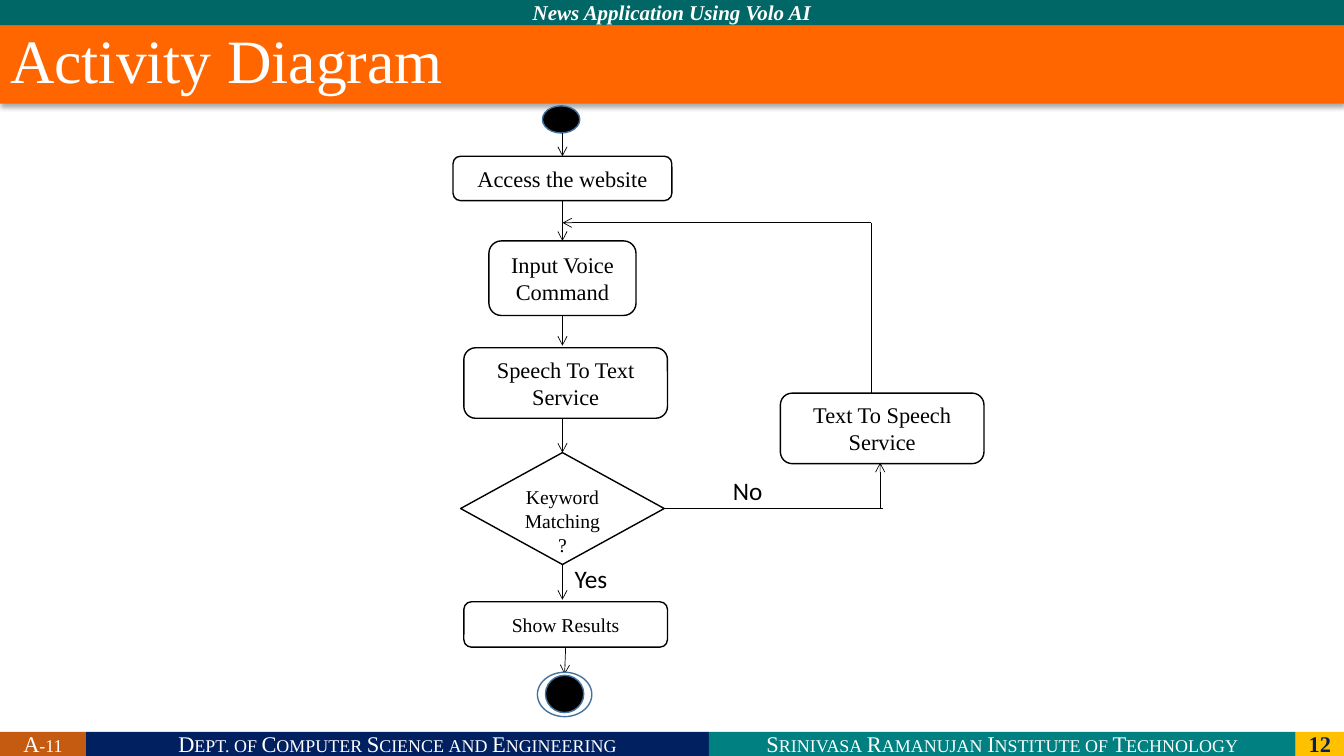
"""Build the activity diagram slide of a voice-driven news application."""
from dataclasses import dataclass

from lxml.etree import SubElement
from pptx import Presentation
from pptx.dml.color import RGBColor
from pptx.enum.shapes import MSO_CONNECTOR, MSO_SHAPE
from pptx.enum.text import MSO_ANCHOR, MSO_AUTO_SIZE, PP_ALIGN
from pptx.oxml.ns import qn
from pptx.util import Inches, Pt

WIDTH, HEIGHT = Inches(13.33), Inches(7.5)
TOP, BOTTOM, RIGHT = 0, 2, 3


@dataclass(frozen=True)
class Theme:
    """Colours, fonts and type sizes of the slide."""
    black: str = "000000"
    white: str = "FFFFFF"
    navy: str = "002060"
    teal: str = "008080"
    header: str = "006666"
    gold: str = "FFC000"
    rust: str = "C55A11"
    orange: str = "FF6600"
    rim: str = "43739E"
    serif: str = "Times New Roman"
    sans: str = "Calibri"
    title: int = 44
    label: int = 18
    body: int = 16
    running: int = 15
    small: int = 14


THEME = Theme()


def x(share):
    """Turn a percentage of the slide width into a length."""
    return round(WIDTH * share / 100)


def y(share):
    """Turn a percentage of the slide height into a length."""
    return round(HEIGHT * share / 100)


def write(sp, text, size=THEME.body, font=THEME.serif, color=THEME.black, bold=False,
          italic=False, caps=False, align=PP_ALIGN.CENTER, anchor=MSO_ANCHOR.MIDDLE):
    """Put one formatted paragraph into a shape and return its paragraph."""
    tf = sp.text_frame
    tf.word_wrap = True
    tf.vertical_anchor = anchor
    p = tf.paragraphs[0]
    p.alignment = align
    r = p.add_run()
    r.text = text
    r.font.size, r.font.name = Pt(size), font
    r.font.bold, r.font.italic = bold, italic
    r.font.color.rgb = RGBColor.from_string(color)
    if caps:
        r.font._element.set("cap", "small")
    return p


def paint(sp, fill, line=None):
    """Set the fill and outline of a shape."""
    sp.fill.solid()
    sp.fill.fore_color.rgb = RGBColor.from_string(fill)
    if line:
        sp.line.color.rgb = RGBColor.from_string(line)
        sp.line.width = Pt(1)
    else:
        sp.line.fill.background()


def bar(slide, left, top, width, height, fill, text, **style):
    """Add a running header or footer bar."""
    sp = slide.shapes.add_shape(MSO_SHAPE.RECTANGLE, x(left), y(top), x(width), y(height))
    sp.shadow.inherit = False
    paint(sp, fill)
    write(sp, text, **{"color": THEME.white, **style})


def node(slide, kind, center, top, width, height, text="", fill=THEME.white,
         line=THEME.black, **style):
    """Add a diagram node centred on a vertical axis."""
    sp = slide.shapes.add_shape(kind, x(center - width / 2), y(top), x(width), y(height))
    sp.shadow.inherit = False
    paint(sp, fill, line)
    if text:
        write(sp, text, **style)
    return sp


def link(slide, start, end, source=None, target=None, arrow=True):
    """Draw a thin line, joined to (shape, side) pairs where given."""
    cx = slide.shapes.add_connector(MSO_CONNECTOR.STRAIGHT, x(start[0]), y(start[1]),
                                    x(end[0]), y(end[1]))
    if source:
        cx.begin_connect(*source)
    if target:
        cx.end_connect(*target)
    cx.line.color.rgb = RGBColor.from_string(THEME.black)
    cx.line.width = Pt(0.5)
    if arrow:
        SubElement(cx.line._get_or_add_ln(), qn("a:tailEnd"), type="arrow")
    SubElement(cx._element.spPr, qn("a:effectLst"))


def caption(slide, left, top, text):
    """Label one branch of the decision."""
    sp = slide.shapes.add_textbox(x(left), y(top), x(6.15), y(5.33))
    write(sp, text, size=THEME.label, font=THEME.sans, align=PP_ALIGN.LEFT,
          anchor=MSO_ANCHOR.TOP)
    sp.text_frame.auto_size = MSO_AUTO_SIZE.SHAPE_TO_FIT_TEXT


def add_title(slide, text):
    """Format the title placeholder as a full-width band with a shadow."""
    sp = slide.shapes.title
    sp.left, sp.top, sp.width, sp.height = 0, y(3.33), WIDTH, y(10.4)
    paint(sp, THEME.orange)
    p = write(sp, text, size=THEME.title, color=THEME.white, align=PP_ALIGN.LEFT,
              anchor=MSO_ANCHOR.TOP)
    p.line_spacing = 0.9
    sp.text_frame.auto_size = MSO_AUTO_SIZE.NONE
    effects = SubElement(sp._element.spPr, qn("a:effectLst"))
    shadow = SubElement(effects, qn("a:outerShdw"), blurRad=str(Pt(3.5)), dist=str(Pt(2.2)),
                        dir="5400000", algn="t", rotWithShape="0")
    color = SubElement(shadow, qn("a:srgbClr"), val=THEME.black)
    SubElement(color, qn("a:alpha"), val="32000")


def add_bars(slide):
    """Add the running header and the footer."""
    bar(slide, 0, 0, 100, 3.33, THEME.header, "News Application Using Volo AI",
        size=THEME.running, bold=True, italic=True)
    left = 0
    for width, fill, text, style in (
        (6.4, THEME.rust, "A-11", {"caps": True}),
        (46.35, THEME.navy, "Dept. of Computer Science and Engineering", {"caps": True}),
        (43.65, THEME.teal, "Srinivasa Ramanujan Institute of Technology", {"caps": True}),
        (3.6, THEME.gold, "12", {"color": THEME.navy, "bold": True}),
    ):
        bar(slide, left, 96.8, width, 3.2, fill, text, **style)
        left += width


def add_diagram(slide):
    """Add the activity nodes, their links and the branch labels."""
    axis, box_axis, end_axis, loop, reply = 41.85, 42.09, 42.01, 64.82, 65.49
    box, dot = MSO_SHAPE.ROUNDED_RECTANGLE, MSO_SHAPE.FLOWCHART_CONNECTOR
    wide, tall, branch, merge = 15.15, 9.33, 67.27, 29.47

    node(slide, dot, 41.75, 14, 2.78, 3.6, fill=THEME.black, line=THEME.rim)
    access = node(slide, box, axis, 20.67, 16.28, 5.87, "Access the website")
    voice = node(slide, box, axis, 31.87, 10.95, 9.87, "Input Voice Command")
    speech = node(slide, box, box_axis, 46, wide, tall, "Speech To Text Service")
    match = node(slide, MSO_SHAPE.FLOWCHART_DECISION, axis, 59.87, wide, 14.8,
                 "Keyword Matching ?", size=THEME.small)
    match.text_frame.margin_top = y(3.87)
    results = node(slide, box, box_axis, 79.6, wide, 6, "Show Results", size=THEME.small)
    node(slide, box, 65.64, 52, wide, tall, "Text To Speech Service")

    link(slide, (axis, 17.6), (axis, 20.67), target=(access, TOP))
    link(slide, (axis, 26.53), (axis, 31.87), (access, BOTTOM), (voice, TOP))
    link(slide, (axis, 41.73), (axis, 45.73), (voice, BOTTOM))
    link(slide, (axis, 55.33), (axis, 59.87), target=(match, TOP))
    link(slide, (axis, 74.67), (axis, 79.33), (match, BOTTOM))
    link(slide, (box_axis, 85.6), (end_axis, 89.2), (results, BOTTOM))
    link(slide, (49.44, branch), (65.7, branch), (match, RIGHT), arrow=False)
    link(slide, (reply, branch), (reply, 61.2))
    link(slide, (loop, merge), (loop, 52), arrow=False)
    link(slide, (loop, merge), (axis, merge))

    node(slide, dot, end_axis, 88.93, 4.05, 5.87, line=THEME.rim)
    node(slide, MSO_SHAPE.OVAL, end_axis, 89.33, 2.85, 4.93, fill=THEME.black,
         line=THEME.rim)
    caption(slide, 53.79, 62.27, "No")
    caption(slide, 42.01, 73.87, "Yes")


def main():
    """Build the slide and save it."""
    prs = Presentation()
    prs.slide_width, prs.slide_height = WIDTH, HEIGHT
    slide = prs.slides.add_slide(prs.slide_layouts[5])
    add_bars(slide)
    add_title(slide, "Activity Diagram")
    add_diagram(slide)
    prs.save("out.pptx")


if __name__ == "__main__":
    main()
